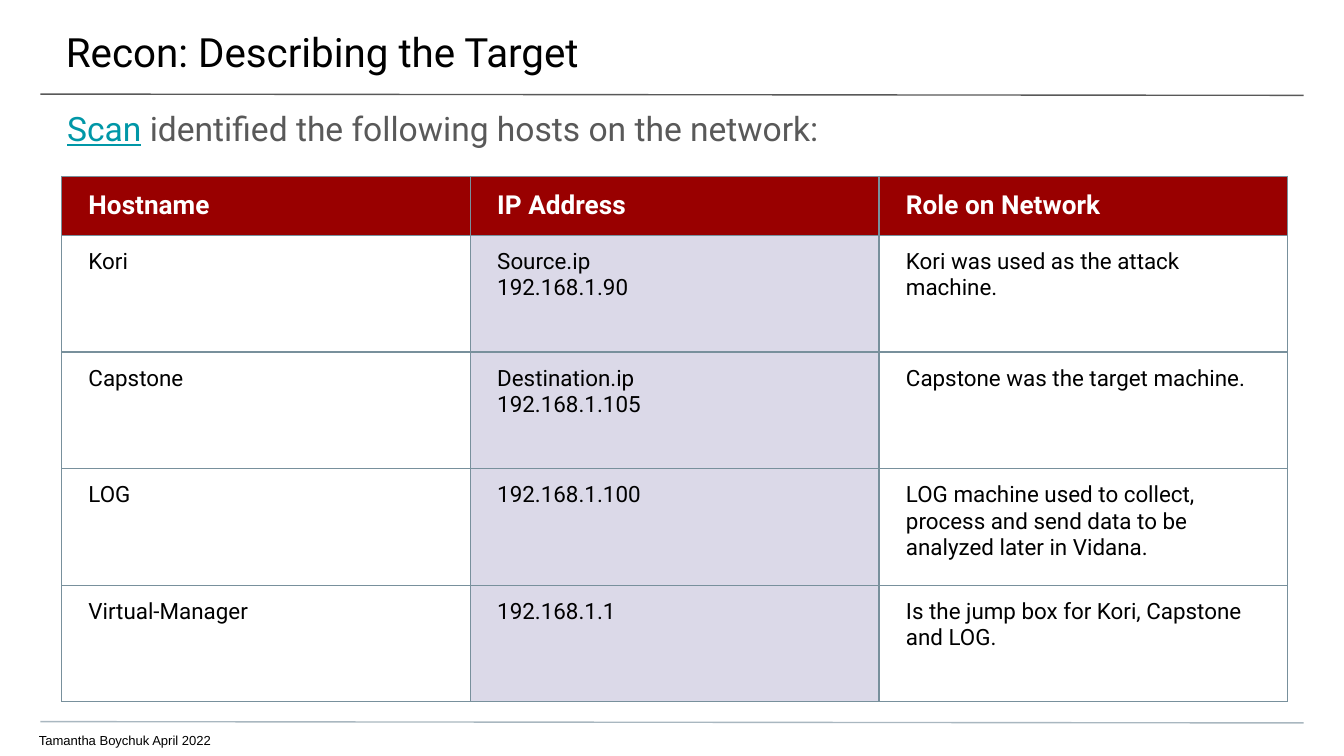
"""Build the slide that lists the hosts found on the network."""
from dataclasses import dataclass

from lxml.etree import SubElement
from pptx import Presentation
from pptx.dml.color import RGBColor as RGB
from pptx.enum.dml import MSO_THEME_COLOR as TC
from pptx.enum.shapes import MSO_CONNECTOR as CONN
from pptx.enum.text import MSO_ANCHOR as ANCHOR, MSO_AUTO_SIZE as FIT, PP_ALIGN as ALIGN
from pptx.oxml.ns import qn
from pptx.util import Pt


@dataclass(frozen=True)
class Theme:
    """Colours, fonts and type sizes."""
    font: str = "Roboto"
    footer_font: str = "Arial"
    black: str = "000000"
    white: str = "FFFFFF"
    grey: str = "595959"
    link: str = "0097A7"
    pale: str = "A9B7C0"
    border: str = "78909C"
    header: str = "990000"
    tint: str = "DBD9E8"
    title: float = 21.6
    lead: float = 18
    head: float = 14
    body: float = 12
    footer: float = 7
    rule: float = 0.75


T = Theme()
HEADERS = ["Hostname", "IP Address", "Role on Network"]
HOSTS = [
    ["Kori", "Source.ip\n192.168.1.90", "Kori was used as the attack machine."],
    ["Capstone", "Destination.ip\n192.168.1.105", "Capstone was the target machine."],
    ["LOG", "192.168.1.100",
     "LOG machine used to collect, process and send data to be analyzed later in Vidana."],
    ["Virtual-Manager", "192.168.1.1", "Is the jump box for Kori, Capstone and LOG."],
]


def apply(obj, values):
    """Set attributes from a dict of format values."""
    for name, value in values.items():
        setattr(obj, name, value)


def add_run(p, text, size, color, font=T.font, **extra):
    """Append a formatted run to a paragraph."""
    r = p.add_run()
    r.text = text
    apply(r.font, {"name": font, "size": Pt(size), **extra})
    r.font.color.rgb = RGB.from_string(color)


def frame_text(sp, box, insets, spacing=1.0):
    """Place a text shape and return its first paragraph."""
    apply(sp, dict(zip(("left", "top", "width", "height"), map(Pt, box))))
    tf = sp.text_frame
    sides = ("margin_left", "margin_top", "margin_right", "margin_bottom")
    apply(tf, {"word_wrap": True, "auto_size": FIT.NONE, "vertical_anchor": ANCHOR.TOP,
               **dict(zip(sides, map(Pt, insets)))})
    p = tf.paragraphs[0]
    apply(p, {"alignment": ALIGN.LEFT, "line_spacing": spacing})
    return p


def add_text(slide, box, insets, spacing):
    """Add a text box and return its first paragraph."""
    return frame_text(slide.shapes.add_textbox(*map(Pt, box)), box, insets, spacing)


def add_rule(slide, y, color):
    """Draw a thin rule across the slide."""
    line = slide.shapes.add_connector(CONN.STRAIGHT, Pt(21.6), Pt(y), Pt(698.4), Pt(y + 0.7))
    line.line.width = Pt(T.rule)
    line.line.color.rgb = RGB.from_string(color)
    SubElement(line._element.spPr, qn("a:effectLst"))


def add_borders(cell):
    """Outline all four sides of a table cell."""
    tc_pr = cell._tc.get_or_add_tcPr()
    for side in ("lnL", "lnR", "lnT", "lnB"):
        ln = SubElement(tc_pr, qn(f"a:{side}"), w=str(Pt(T.rule)))
        SubElement(SubElement(ln, qn("a:solidFill")), qn("a:srgbClr"), val=T.border)


def fill_cell(cell, text, fill, style, anchor):
    """Write and format one table cell."""
    apply(cell, {"margin_left": Pt(14.4), "margin_right": Pt(14.4), "margin_top": Pt(7.2),
                 "margin_bottom": Pt(7.2), "vertical_anchor": anchor})
    add_borders(cell)
    if fill:
        cell.fill.solid()
        cell.fill.fore_color.rgb = RGB.from_string(fill)
    else:
        cell.fill.background()
    tf = cell.text_frame
    for i, line in enumerate(text.split("\n")):
        p = tf.add_paragraph() if i else tf.paragraphs[0]
        add_run(p, line, **style)


def add_host_table(slide):
    """Add the table of hosts, with a header row and a tinted middle column."""
    rows = [HEADERS, *HOSTS]
    table = slide.shapes.add_table(len(rows), len(HEADERS), Pt(33), Pt(94.6),
                                   Pt(657), Pt(281.5)).table
    apply(table, {"first_row": False, "horz_banding": False})
    for col in table.columns:
        col.width = Pt(219)
    head = {"size": T.head, "color": T.white, "bold": True}
    body = {"size": T.body, "color": T.black, "bold": False}
    for i, row in enumerate(rows):
        table.rows[i].height = Pt(62.5 if i else 31.5)
        for j, text in enumerate(row):
            if i == 0:
                look = (T.header, head, ANCHOR.MIDDLE)
            else:
                look = (T.tint if j == 1 else None, body, ANCHOR.TOP)
            fill_cell(table.cell(i, j), text, *look)


def main():
    """Build and save the slide."""
    prs = Presentation()
    apply(prs, {"slide_width": Pt(720), "slide_height": Pt(405)})
    slide = prs.slides.add_slide(prs.slide_layouts[5])
    slide.background.fill.solid()
    slide.background.fill.fore_color.theme_color = TC.BACKGROUND_1
    add_rule(slide, 50.4, T.grey)
    add_rule(slide, 386.6, T.pale)
    p = frame_text(slide.shapes.title, (-0.7, 0, 722, 41.8), (36, 14.4, 21.6, 7.2))
    add_run(p, "Recon: Describing the Target", T.title, T.black)
    p = add_text(slide, (0, 53.3, 720, 28.8), (36, 7.2, 36, 0), 0.9)
    add_run(p, "Scan", T.lead, T.link, underline=True)
    add_run(p, " identified the following hosts on the network:", T.lead, T.grey)
    p = add_text(slide, (-0.7, 387.4, 628, 17.6), (21.6, 3.6, 0, 0), 1.15)
    p.space_after = Pt(12)
    add_run(p, "Tamantha Boychuk April 2022", T.footer, T.black, T.footer_font)
    add_host_table(slide)
    prs.save("out.pptx")


main()
